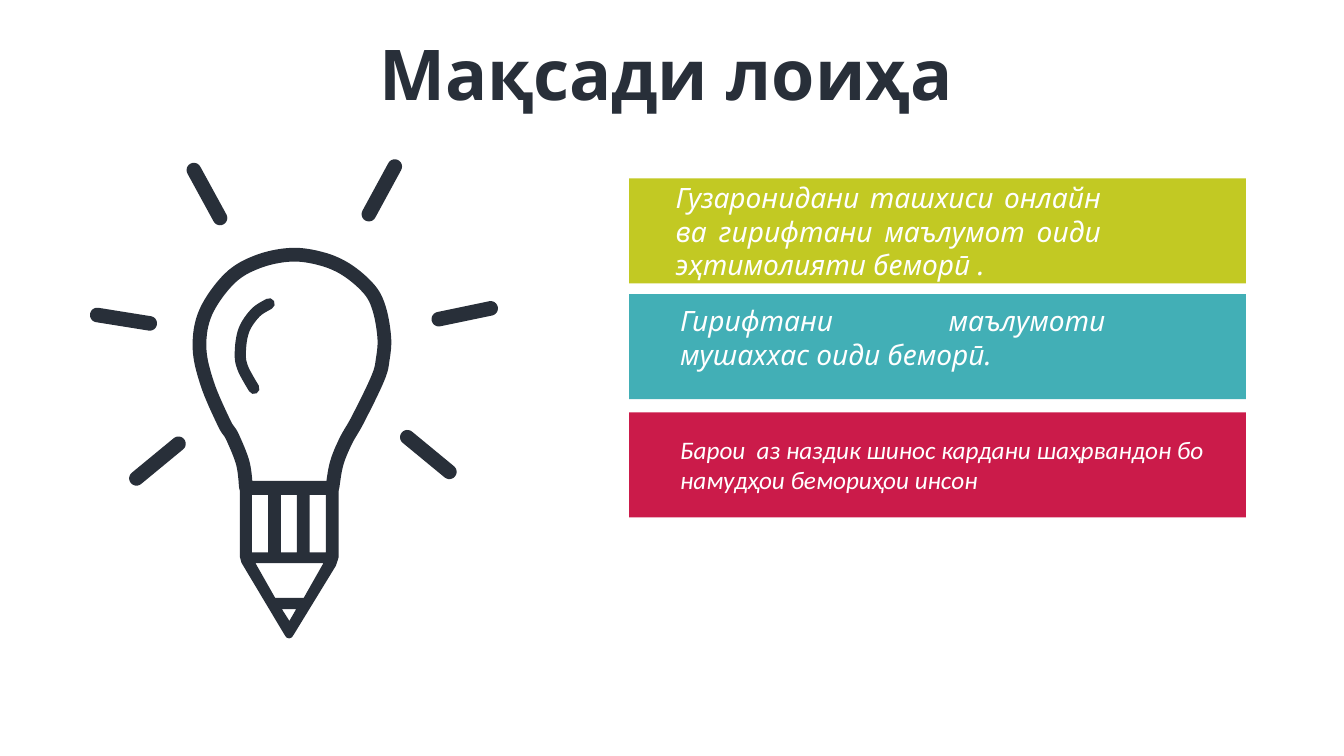
"""Build the project goal slide: a light bulb pencil beside three coloured bars."""
import math
from dataclasses import dataclass
from typing import Any

import pptx
import pptx.dml.color
import pptx.enum.shapes
import pptx.enum.text
import pptx.oxml.ns
import pptx.util

Pt = pptx.util.Pt
Align = pptx.enum.text.PP_ALIGN
Point = tuple[float, float]
DARK = "282F39"
WHITE = "FFFFFF"
BAR_LEFT, BAR_WIDTH, BAR_HEIGHT = 449.3, 440.6, 75
RAY_RADIUS = 5.2


@dataclass
class TextStyle:
    """Look of one paragraph."""
    font: str
    size: float
    color: str
    align: Any
    bold: bool = False
    italic: bool = False


@dataclass
class Bar:
    """Coloured bar and the insets of its text."""
    top: float
    fill: str
    text: str
    style: TextStyle
    inset_left: float
    inset_top: float
    inset_right: float


@dataclass
class Ray:
    """Light ray between the centres of its round ends."""
    start: Point
    end: Point


TITLE = TextStyle("Noto Sans", 50, DARK, Align.CENTER, bold=True)
GOAL = TextStyle("Noto Sans", 20, WHITE, Align.JUSTIFY, italic=True)
CLOSING = TextStyle("Calibri", 18, WHITE, Align.LEFT, italic=True)

BARS = [
    Bar(127.4, "C2C923", "Гузаронидани ташхиси онлайн ва гирифтани маълумот "
        "оиди эҳтимолияти беморӣ .", GOAL, 33.4, 1.5, 103.3),
    Bar(210.2, "42AFB6", "Гирифтани маълумоти мушаххас оиди беморӣ.",
        GOAL, 36.5, 6.8, 100.2),
    Bar(294.6, "CB1B4A", "Барои  аз наздик шинос кардани шаҳрвандон бо "
        "намудҳои бемориҳои инсон", CLOSING, 36.5, 15.8, 19.6),
]

RAYS = [
    Ray((97.5, 341.7), (127.5, 317)),
    Ray((69.5, 225), (107, 231)),
    Ray((138.5, 121.5), (157.2, 155.7)),
    Ray((282, 119), (263.5, 153)),
    Ray((350.5, 220.3), (313.5, 228)),
    Ray((321, 337), (291, 312.3)),
]

BULB = [
    (175.7, 348), (173.5, 331), (166, 312), (160, 302), (148, 274),
    (142.5, 248), (147, 223), (164, 199), (184, 187), (208, 182), (230, 185),
    (248, 193), (264, 207), (271, 221), (274.5, 241), (273.5, 256),
    (270, 270), (256, 299), (247, 315), (240.5, 331), (237.5, 348),
]
GLARE = [(192.3, 217), (182.5, 223.5), (174.2, 236), (171.7, 252),
         (173.5, 263), (181.4, 277.5)]

PENCIL = [(171.4, 343.5), (241.9, 343.5), (241.9, 398), (240, 404),
          (210, 453), (208.5, 455.3), (206.5, 456), (204.5, 455.3),
          (203, 453), (172.5, 402), (171.4, 398)]
SLOTS = [[(x, 353.5), (x + 11.5, 353.5), (x + 11.5, 394.5), (x, 394.5)]
         for x in (180, 200.6, 221.2)]
WOOD = [(182.5, 402.3), (231, 402.3), (217, 427), (196.5, 427)]
TIP = [(201.3, 435), (211.6, 435), (206.7, 443.5)]


def rgb(value: str) -> pptx.dml.color.RGBColor:
    """Turn a hex string into a colour."""
    return pptx.dml.color.RGBColor.from_string(value)


def set_text(s: Any, text: str, style: TextStyle) -> None:
    """Write one wrapped, styled paragraph into a shape."""
    tf = s.text_frame
    tf.word_wrap = True
    tf.vertical_anchor = pptx.enum.text.MSO_ANCHOR.TOP
    p = tf.paragraphs[0]
    p.text = text
    p.alignment = style.align
    for r in p.runs:
        r.font.name = style.font
        r.font.size = Pt(style.size)
        r.font.bold = style.bold
        r.font.italic = style.italic
        r.font.color.rgb = rgb(style.color)


def set_fill(s: Any, color: str) -> None:
    """Fill a shape without line or shadow."""
    s.shadow.inherit = False
    s.fill.solid()
    s.fill.fore_color.rgb = rgb(color)
    s.line.fill.background()


def smooth_curve(points: list[Point], steps: int = 8) -> list[Point]:
    """Interpolate a Catmull-Rom curve through the points."""
    padded = [points[0], *points, points[-1]]
    curve = [points[0]]
    for a, b, c, d in zip(padded, padded[1:], padded[2:], padded[3:]):
        for i in range(1, steps + 1):
            t = i / steps
            x, y = (
                (2 * q + (r - p) * t + (2 * p - 5 * q + 4 * r - u) * t ** 2
                 + (3 * q - p - 3 * r + u) * t ** 3) / 2
                for p, q, r, u in zip(a, b, c, d))
            curve.append((x, y))
    return curve


def add_outline(shapes: Any, contours: list[list[Point]], close: bool) -> Any:
    """Add a freeform made of one or more contours."""
    scaled = [[(Pt(x), Pt(y)) for x, y in contour] for contour in contours]
    builder = shapes.build_freeform(*scaled[0][0])
    for i, contour in enumerate(scaled):
        if i:
            builder.move_to(*contour[0])
        builder.add_line_segments(contour[1:], close=close)
    return builder.convert_to_shape()


def add_stroke(shapes: Any, points: list[Point], width: float) -> None:
    """Add an open curved stroke with round caps."""
    s = add_outline(shapes, [smooth_curve(points)], close=False)
    s.shadow.inherit = False
    s.fill.background()
    s.line.color.rgb = rgb(DARK)
    s.line.width = Pt(width)
    s.element.spPr.find(pptx.oxml.ns.qn("a:ln")).set("cap", "rnd")


def add_ray(shapes: Any, ray: Ray) -> None:
    """Add one light ray with round ends."""
    (x1, y1), (x2, y2) = ray.start, ray.end
    heading = math.degrees(math.atan2(y2 - y1, x2 - x1))
    contour = []
    for x, y, first in ((x2, y2, heading - 90), (x1, y1, heading + 90)):
        for turn in range(0, 181, 15):
            angle = math.radians(first + turn)
            contour.append((x + RAY_RADIUS * math.cos(angle),
                            y + RAY_RADIUS * math.sin(angle)))
    set_fill(add_outline(shapes, [contour], close=True), DARK)


def add_bar(shapes: Any, bar: Bar) -> None:
    """Add one coloured bar with its text."""
    s = shapes.add_shape(pptx.enum.shapes.MSO_SHAPE.RECTANGLE, Pt(BAR_LEFT),
                         Pt(bar.top), Pt(BAR_WIDTH), Pt(BAR_HEIGHT))
    set_fill(s, bar.fill)
    set_text(s, bar.text, bar.style)
    tf = s.text_frame
    tf.margin_left = Pt(bar.inset_left)
    tf.margin_top = Pt(bar.inset_top)
    tf.margin_right = Pt(bar.inset_right)
    tf.margin_bottom = Pt(0)


def main() -> None:
    """Build and save the slide."""
    prs = pptx.Presentation()
    prs.slide_width, prs.slide_height = Pt(960), Pt(540)
    shapes = prs.slides.add_slide(prs.slide_layouts[6]).shapes
    title = shapes.add_textbox(Pt(95), Pt(18.2), Pt(761.4), Pt(67.7))
    set_text(title, "Мақсади лоиҳа", TITLE)
    add_stroke(shapes, BULB, 9.8)
    add_stroke(shapes, GLARE, 8)
    set_fill(add_outline(shapes, [PENCIL, *SLOTS, WOOD, TIP], True), DARK)
    for ray in RAYS:
        add_ray(shapes, ray)
    for bar in BARS:
        add_bar(shapes, bar)
    prs.save("out.pptx")


main()
